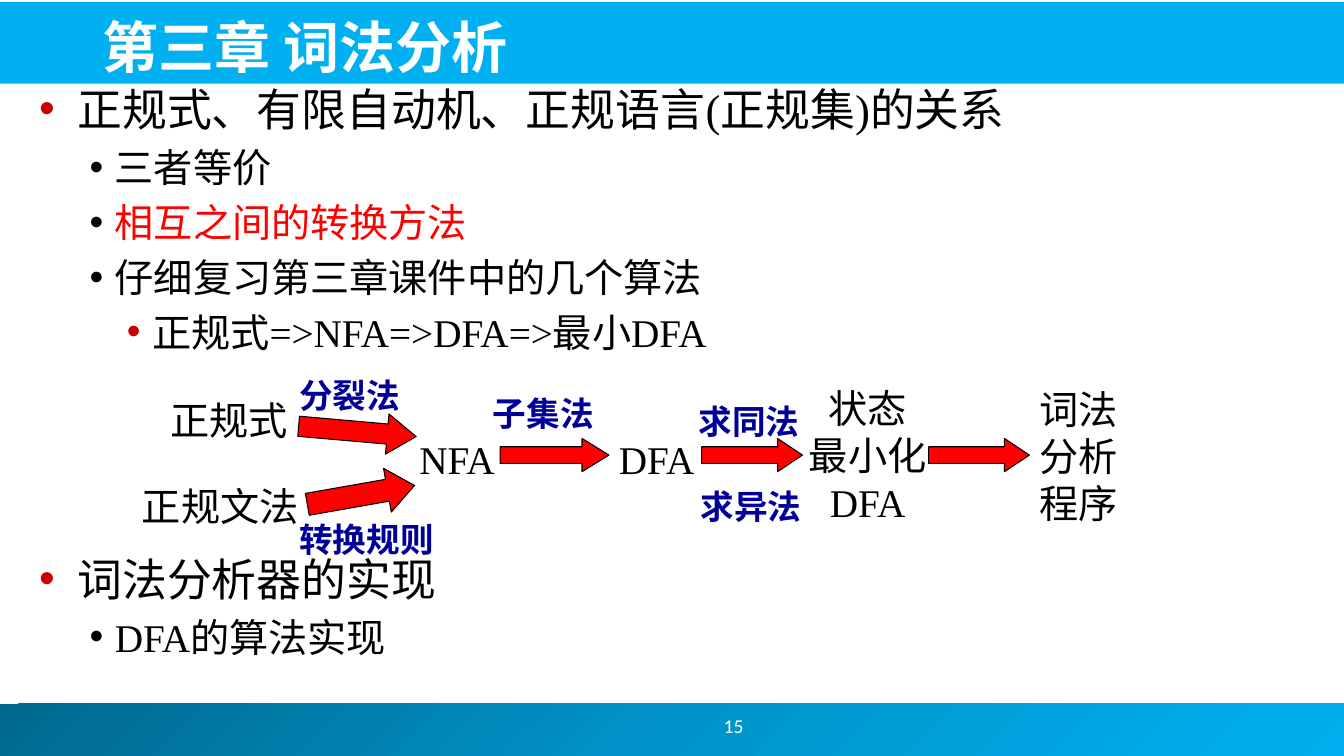
from copy import deepcopy

from lxml import etree
from pptx import Presentation
from pptx.dml.color import RGBColor
from pptx.enum.shapes import MSO_SHAPE
from pptx.enum.text import MSO_ANCHOR, PP_ALIGN
from pptx.oxml.ns import qn
from pptx.util import Pt

RECT, ARROW = MSO_SHAPE.RECTANGLE, MSO_SHAPE.RIGHT_ARROW
LEFT, CENTER = PP_ALIGN.LEFT, PP_ALIGN.CENTER
TOP, MIDDLE, BOTTOM = MSO_ANCHOR.TOP, MSO_ANCHOR.MIDDLE, MSO_ANCHOR.BOTTOM

PX = 9144  # 100 px to the inch
HEX = {
    "sky": "00B0F0", "mid": "0094CA", "deep": "00688E", "white": "FFFFFF",
    "black": "000000", "red": "FF0000", "navy": "000099", "mark": "CC0000",
}
SERIF, SANS, TITLE = "Times New Roman", "Calibri", "Noto Sans CJK JP"

# level: (text size, left indent, bullet width, bullet colour)
LEVELS = [(32, 38, 38, "mark"), (28, 75, 25, "black"), (28, 112, 25, "mark")]

# box, level and colour of each line
OUTLINES = [
    ((29, 76, 1244, 290), [
        (0, "正规式、有限自动机、正规语言(正规集)的关系", "black"),
        (1, "三者等价", "black"),
        (1, "相互之间的转换方法", "red"),
        (1, "仔细复习第三章课件中的几个算法", "black"),
        (2, "正规式=>NFA=>DFA=>最小DFA", "black"),
    ]),
    ((29, 542, 1244, 164), [
        (0, "词法分析器的实现", "black"),
        (1, "DFA的算法实现", "black"),
    ]),
]
STATES = [
    ((159, 388, 137, 57), "正规式", LEFT),
    ((131, 474, 176, 57), "正规文法", LEFT),
    ((406, 427, 98, 57), "NFA", LEFT),
    ((604, 427, 98, 57), "DFA", LEFT),
    ((792, 376, 137, 150), "状态\n最小化\nDFA", CENTER),
    ((1021, 377, 100, 150), "词法\n分析\n程序", LEFT),
]
METHODS = [
    ((287, 367, 120, 50), "分裂法"),
    ((287, 510, 153, 50), "转换规则"),
    ((479, 385, 120, 50), "子集法"),
    ((683, 393, 121, 51), "求同法"),
    ((685, 477, 121, 51), "求异法"),
]
# box, head length, rotation
ARROWS = [
    ((296, 408, 117, 40), 0.72, 5),
    ((304, 469, 108, 44), 0.62, 350),
    ((496, 435, 108, 33), 0.81, 0),
    ((696, 435, 100, 33), 0.75, 0),
    ((921, 435, 100, 33), 0.75, 0),
]


def rgb(name):
    return RGBColor.from_string(HEX[name])


def scale(box):
    return [n * PX for n in box]


class Deck:
    def __init__(self, wide, high):
        self.prs = Presentation()
        self.prs.slide_width, self.prs.slide_height = wide * PX, high * PX
        self.slide = self.prs.slides.add_slide(self.prs.slide_layouts[6])
        self.style = {"name": SERIF, "size": Pt(28), "bold": False}

    def shape(self, kind, box, fill=None, line=None):
        item = self.slide.shapes.add_shape(kind, *scale(box))
        item.shadow.inherit = False
        if fill:
            item.fill.solid()
            item.fill.fore_color.rgb = rgb(fill)
        if line:
            item.line.color.rgb = rgb(line)
            item.line.width = Pt(0.75)
        else:
            item.line.fill.background()
        return item

    def blend(self, box, names):
        """Draw a bar with evenly spaced diagonal gradient stops."""
        item = self.shape(RECT, box)
        fill = item.fill
        fill.gradient()
        fill.gradient_angle = 315
        first = item._element.spPr.find(".//" + qn("a:gs"))
        for _ in names[2:]:
            first.addnext(deepcopy(first))
        for i, (stop, name) in enumerate(zip(fill.gradient_stops, names)):
            stop.position = i / (len(names) - 1)
            stop.color.rgb = rgb(name)

    def arrow(self, box, head, turn):
        item = self.shape(ARROW, box, "red", "black")
        item.adjustments[1] = head
        item.rotation = turn

    def frame(self, box, anchor=TOP, wrap=True):
        frame = self.slide.shapes.add_textbox(*scale(box)).text_frame
        frame.word_wrap = wrap
        frame.vertical_anchor = anchor
        return frame

    def run(self, para, text, color, **form):
        run = para.add_run()
        run.text = text
        for key, value in {**self.style, **form}.items():
            setattr(run.font, key, value)
        run.font.color.rgb = rgb(color)

    def text(self, box, text, color="black", align=LEFT, anchor=TOP,
             wrap=False, **form):
        frame = self.frame(box, anchor, wrap)
        for i, line in enumerate(text.split("\n")):
            para = frame.add_paragraph() if i else frame.paragraphs[0]
            para.alignment = align
            self.run(para, line, color, **form)

    def outline(self, box, lines):
        frame = self.frame(box)
        for i, (level, text, color) in enumerate(lines):
            para = frame.add_paragraph() if i else frame.paragraphs[0]
            size, left, hang, mark = LEVELS[level]
            para.level = level
            para.space_before = Pt(size * 0.2 if i else 0)
            self.bullet(para, left, hang, mark)
            self.run(para, text, color, size=Pt(size))

    def bullet(self, para, left, hang, mark):
        props = para._p.get_or_add_pPr()
        props.set("marL", str(left * PX))
        props.set("indent", str(-hang * PX))
        tint = etree.SubElement(props, qn("a:buClr"))
        etree.SubElement(tint, qn("a:srgbClr"), val=HEX[mark])
        etree.SubElement(props, qn("a:buFont"), typeface="Arial")
        etree.SubElement(props, qn("a:buChar"), char="•")


def main():
    deck = Deck(1333, 750)
    deck.blend((-5, 698, 1339, 52), ["deep", "mid", "sky"])
    deck.shape(RECT, (-2, 2, 1336, 81), "sky")
    for box, lines in OUTLINES:
        deck.outline(box, lines)
    deck.text((583, 695, 289, 50), "15", "white", CENTER, MIDDLE, True,
              name=SANS, size=Pt(14))
    deck.text((92, 5, 1197, 79), "第三章 词法分析", "white", LEFT, BOTTOM, True,
              name=TITLE, size=Pt(40), bold=True)
    for box, head, turn in ARROWS:
        deck.arrow(box, head, turn)
    for box, text, align in STATES:
        deck.text(box, text, align=align)
    for box, text in METHODS:
        deck.text(box, text, "navy", size=Pt(24), bold=True)
    deck.prs.save("out.pptx")


if __name__ == "__main__":
    main()
